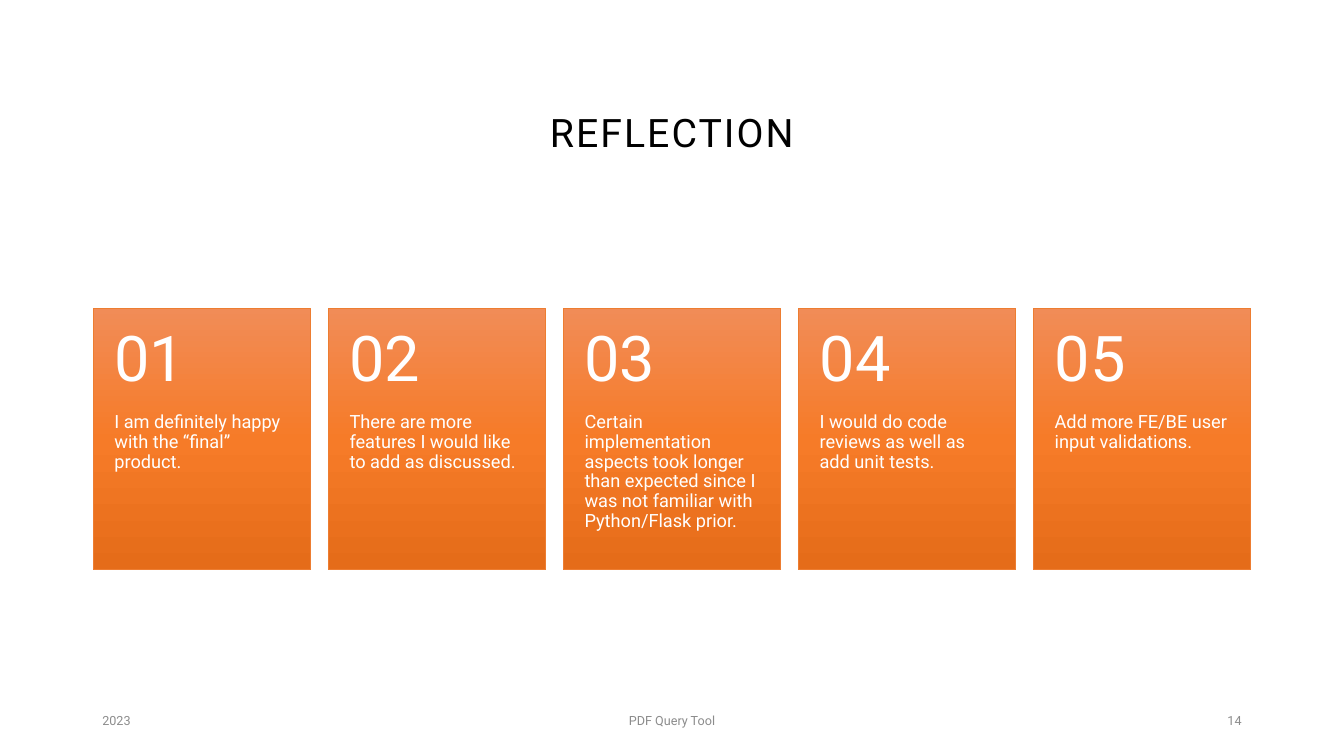
import copy
from dataclasses import dataclass

import pptx
import pptx.dml.color
import pptx.enum.shapes
import pptx.enum.text
import pptx.util

Pt = pptx.util.Pt
RGB = pptx.dml.color.RGBColor.from_string
ALIGN = pptx.enum.text.PP_ALIGN
ANCHOR = pptx.enum.text.MSO_ANCHOR


@dataclass(frozen=True)
class Theme:
    font: str = "Roboto"
    title: str = "000000"
    footer: str = "8C8C8C"
    card_text: str = "FFFFFF"
    card_line: str = "ED7D31"
    card_stops: tuple = ((0, "F18C57"), (0.5, "F67B28"), (1, "E56C19"))
    title_size: float = 28
    footer_size: float = 9
    number_size: float = 45
    body_size: float = 13


class Deck:
    def __init__(self, theme):
        self.theme = theme
        self.prs = pptx.Presentation()
        self.prs.slide_width, self.prs.slide_height = Pt(960), Pt(540)
        self.s = self.prs.slides.add_slide(self.prs.slide_layouts[6])

    def text(self, text, box, size, color, align=ALIGN.LEFT, anchor=ANCHOR.MIDDLE,
             insets=(7.2, 3.6, 7.2, 3.6), line_spacing=0.9, tracking=0):
        tf = self.s.shapes.add_textbox(*map(Pt, box)).text_frame
        left, top, right, bottom = map(Pt, insets)
        frame = {"word_wrap": True, "vertical_anchor": anchor,
                 "margin_left": left, "margin_top": top,
                 "margin_right": right, "margin_bottom": bottom}
        p = tf.paragraphs[0]
        r = p.add_run()
        r.text = text
        formats = (
            (tf, frame),
            (p, {"alignment": align, "line_spacing": line_spacing}),
            (r.font, {"name": self.theme.font, "size": Pt(size)}),
            (r.font.fill, {}),
        )
        for target, values in formats:
            for name, value in values.items():
                setattr(target, name, value)
        r.font.color.rgb = RGB(color)
        if tracking:
            r.font._element.set("spc", str(round(tracking * 100)))

    def gradient_rect(self, box):
        sp = self.s.shapes.add_shape(
            pptx.enum.shapes.MSO_SHAPE.RECTANGLE, *map(Pt, box))
        sp.shadow.inherit = False
        sp.line.color.rgb = RGB(self.theme.card_line)
        sp.line.width = Pt(0.5)
        sp.fill.gradient()
        sp.fill.gradient_angle = 270
        first = sp._element.spPr.find(".//" + pptx.oxml.ns.qn("a:gs"))
        first.addnext(copy.deepcopy(first))
        for stop, (position, color) in zip(sp.fill.gradient_stops, self.theme.card_stops):
            stop.position = position
            stop.color.rgb = RGB(color)

    def card(self, number, body, left, top, width, height):
        t = self.theme
        header = height * 0.4
        self.gradient_rect((left, top, width, height))
        self.text(body, (left, top + header, width, height - header), t.body_size,
                  t.card_text, anchor=ANCHOR.TOP, insets=(15.36, 0, 15.36, 26))
        self.text(f"{number:02d}", (left, top, width, header), t.number_size,
                  t.card_text, insets=(15.36, 13, 15.36, 13))


def main():
    theme = Theme()
    deck = Deck(theme)
    deck.text("REFLECTION", (66, 10.8, 828, 104.4), theme.title_size, theme.title,
              align=ALIGN.CENTER, anchor=ANCHOR.BOTTOM, tracking=1.5)

    footers = (
        ("2023", 66, 216, ALIGN.LEFT),
        ("PDF Query Tool", 318, 324, ALIGN.CENTER),
        ("14", 678, 216, ALIGN.RIGHT),
    )
    for text, left, width, align in footers:
        deck.text(text, (left, 500.5, width, 28.75), theme.footer_size, theme.footer,
                  align=align, line_spacing=1.0)

    reflections = (
        "I am definitely happy with the “final” product.",
        "There are more features I would like to add as discussed.",
        "Certain implementation aspects took longer than expected since I was not "
        "familiar with Python/Flask prior.",
        "I would do code reviews as well as add unit tests.",
        "Add more FE/BE user input validations.",
    )
    left, pitch = 66.4, 167.9
    for i, body in enumerate(reflections):
        deck.card(i + 1, body, left + i * pitch, 220.3, 155.5, 186.6)

    deck.prs.save("out.pptx")


if __name__ == "__main__":
    main()
